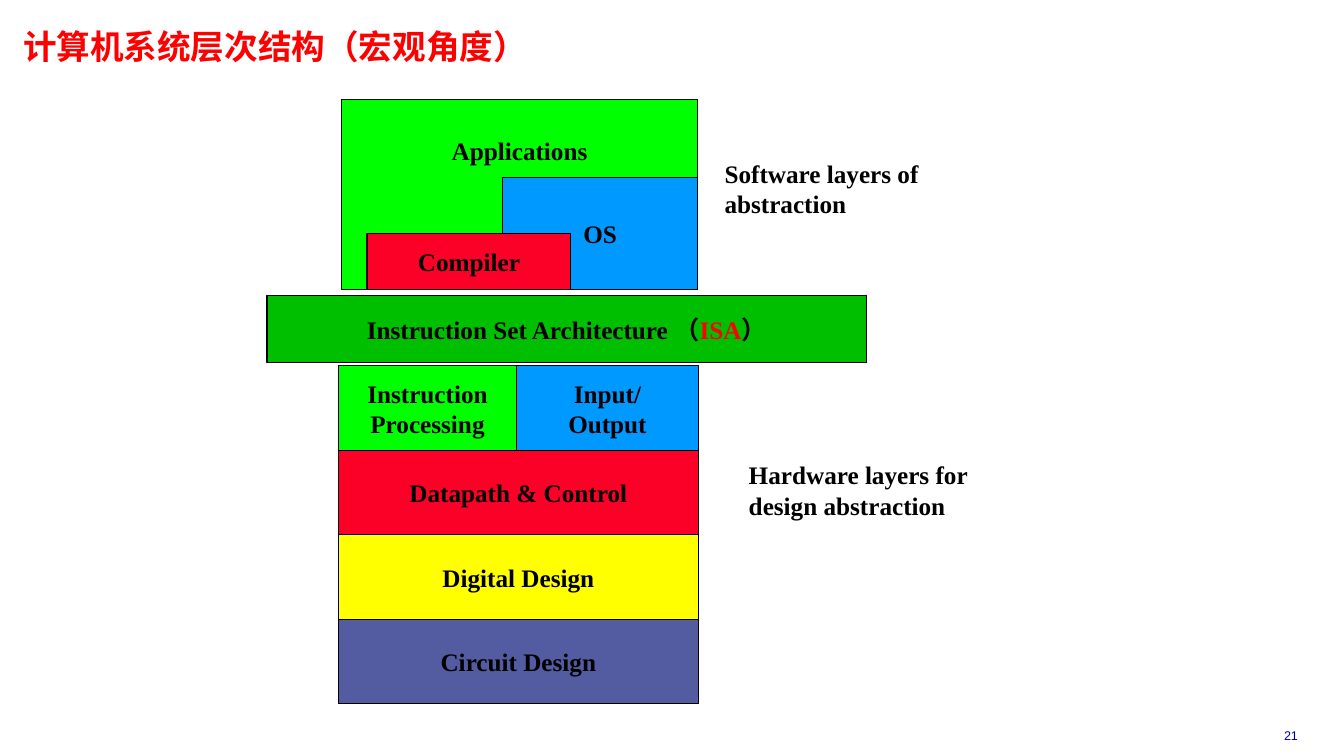
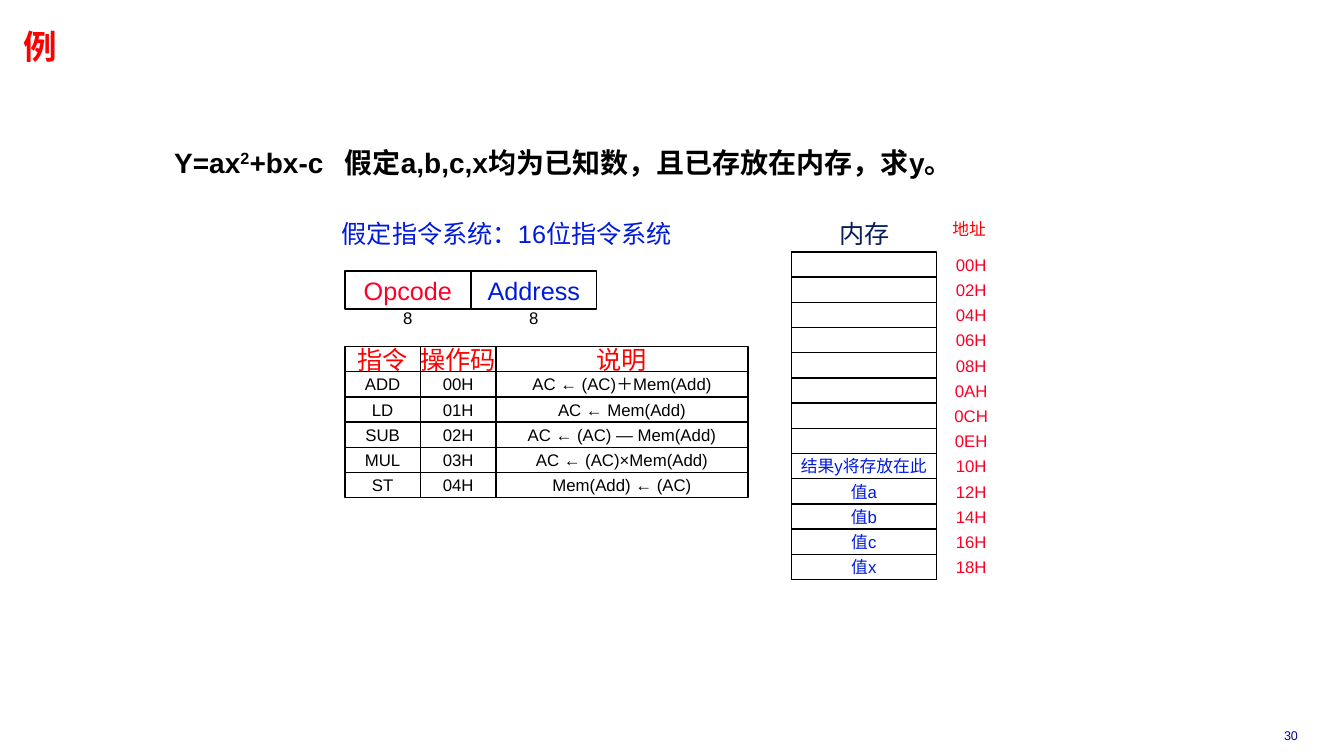
"""Build two slides on computer system layers and a sample instruction set."""
from lxml import etree
from pptx import Presentation
from pptx import util as u
from pptx.dml.color import RGBColor
from pptx.enum import shapes, text
from pptx.oxml.ns import qn

HUE = {
    "black": "000000", "red": "FF0000", "rose": "FC0128", "lime": "00FF00",
    "green": "00BE00", "sky": "0099FF", "sun": "FFFF00", "slate": "535CA1",
    "blue": "001ADC", "navy": "081D58", "foot": "000099",
}
HEAD = {"name": "Arial", "size": u.Pt(24), "bold": True}
LAYER = {"name": "Times New Roman", "size": u.Pt(18), "bold": True}
LEAD = {"name": "Arial", "size": u.Pt(20), "bold": True}
LARGE = {"name": "Arial", "size": u.Pt(18), "bold": False}
SMALL = {"name": "Arial", "size": u.Pt(12), "bold": False}
TINY = {"name": "Arial", "size": u.Pt(9), "bold": False}
MID = text.MSO_ANCHOR.MIDDLE
TOP = text.MSO_ANCHOR.TOP
CENTER = text.PP_ALIGN.CENTER
LEFT = text.PP_ALIGN.LEFT


def write(para, words, look, hue):
    run = para.add_run()
    run.text = words
    for key, val in look.items():
        setattr(run.font, key, val)
    run.font.color.rgb = RGBColor.from_string(HUE[hue])
    return run


def put(page, at, words, look, hue="black", fill=None, edge=0, wrap=False,
        align=CENTER, anchor=MID):
    place = [u.Cm(n) for n in at]
    if edge:
        item = page.shapes.add_shape(shapes.MSO_SHAPE.RECTANGLE, *place)
        item.shadow.inherit = False
        item.line.color.rgb = RGBColor.from_string(HUE["black"])
        item.line.width = u.Pt(edge)
        if fill:
            item.fill.solid()
            item.fill.fore_color.rgb = RGBColor.from_string(HUE[fill])
        else:
            item.fill.background()
    else:
        item = page.shapes.add_textbox(*place)
    frame = item.text_frame
    frame.word_wrap = wrap
    frame.vertical_anchor = anchor
    for i, row in enumerate(words.split("\n")):
        para = frame.add_paragraph() if i else frame.paragraphs[0]
        para.alignment = align
        if row:
            write(para, row, look, hue)
    return item


deck = Presentation()
deck.slide_width, deck.slide_height = u.Cm(33.87), u.Cm(19.05)
plan = deck.slide_layouts[5]
spot = {"left": u.Cm(0), "top": u.Cm(0.71), "width": u.Cm(29.21), "height": u.Cm(1.04)}
for key, val in spot.items():
    setattr(plan.placeholders[0], key, val)

pages = []
for name, num in [("计算机系统层次结构（宏观角度）", "21"), ("例", "30")]:
    page = deck.slides.add_slide(plan)
    frame = page.shapes.title.text_frame
    form = {"margin_left": u.Cm(0.58), "margin_top": u.Cm(0.08),
            "margin_right": u.Cm(0.18), "margin_bottom": u.Cm(0.08),
            "vertical_anchor": TOP, "auto_size": text.MSO_AUTO_SIZE.NONE}
    for key, val in form.items():
        setattr(frame, key, val)
    para = frame.paragraphs[0]
    para.alignment = LEFT
    para.line_spacing = 0.87
    write(para, name, HEAD, "red")
    put(page, (31.34, 18.21, 2.39, 0.64), num, TINY, "foot", anchor=TOP)
    pages.append(page)
stack, demo = pages

apps = put(stack, (8.61, 2.51, 8.97, 4.79), "Applications", LAYER,
           fill="lime", edge=0.75, anchor=TOP)
apps.text_frame.margin_top = u.Cm(0.9)
base, wide, tall, floor = 8.53, 9.07, 2.13, 9.22
half = 4.49
layers = [
    ((12.67, 4.47, 4.91, 2.83), "OS", "sky"),
    ((9.25, 5.88, 5.14, 1.42), "Compiler", "rose"),
    ((base, floor, half, tall), "Instruction\nProcessing", "lime"),
    ((base + half, floor, wide - half, tall), "Input/\nOutput", "sky"),
]
decks = [("Datapath & Control", "rose"), ("Digital Design", "sun"), ("Circuit Design", "slate")]
for i, (name, fill) in enumerate(decks, 1):
    layers.append(((base, floor + i * tall, wide, tall), name, fill))
for at, name, fill in layers:
    put(stack, at, name, LAYER, fill=fill, edge=0.75)

bridge = put(stack, (6.73, 7.44, 15.11, 1.7), "", LAYER, fill="green", edge=0.75)
for words, hue in [("Instruction Set Architecture （", "black"), ("ISA", "red"), ("）", "black")]:
    write(bridge.text_frame.paragraphs[0], words, LAYER, hue)

sides = [((18.01, 3.86, 8.92, 1.8), "Software layers of\nabstraction"),
         ((18.62, 11.46, 6.65, 1.8), "Hardware layers for design abstraction")]
for at, words in sides:
    put(stack, at, words, LAYER, wrap=True, align=LEFT, anchor=TOP)

task = put(demo, (4.14, 3.53, 22.15, 1.12), "", LEAD, wrap=True, align=LEFT, anchor=TOP)
para = task.text_frame.paragraphs[0]
tabs = etree.SubElement(para._p.get_or_add_pPr(), qn("a:tabLst"))
etree.SubElement(tabs, qn("a:tab"), pos=str(u.Cm(4.3)), algn="l")
for words in ["Y=ax", "2", "+bx-c\t假定a,b,c,x均为已知数，且已存放在内存，求y。"]:
    run = write(para, words, LEAD, "black")
    if words == "2":
        run._r.get_or_add_rPr().set("baseline", "30000")

notes = [((8.36, 5.38, 10.16, 1.02), "假定指令系统：16位指令系统", LARGE, "blue"),
         ((20.9, 5.38, 1.96, 1.02), "内存", LARGE, "navy"),
         ((23.75, 5.38, 1.96, 0.76), "地址", SMALL, "red")]
for at, words, look, hue in notes:
    put(demo, at, words, look, hue, wrap=True, align=LEFT, anchor=TOP)

step = 2.54 / 4
left = 8.69
for i, (name, hue) in enumerate([("Opcode", "rose"), ("Address", "blue")]):
    x = left + 5 * i * step
    put(demo, (x, 6.83, 5 * step, 1.5 * step), name, LARGE, hue, edge=1)
    put(demo, (x, 7.78, 5 * step, 0.48), "8", SMALL)

codes = [
    ("指令", "操作码", "说明"),
    ("ADD", "00H", "AC ← (AC)＋Mem(Add)"),
    ("LD", "01H", "AC ← Mem(Add)"),
    ("SUB", "02H", "AC ← (AC) — Mem(Add)"),
    ("MUL", "03H", "AC ← (AC)×Mem(Add)"),
    ("ST", "04H", "Mem(Add) ← (AC)"),
]
for i, row in enumerate(codes):
    look, hue = (SMALL, "black") if i else (LARGE, "red")
    for start, span, words in zip((0, 3, 6), (3, 3, 10), row):
        at = (left + start * step, 8.73 + i * step, span * step, step)
        put(demo, at, words, look, hue, edge=1)

cells = [""] * 8 + ["结果y将存放在此", "值a", "值b", "值c", "值x"]
for i, words in enumerate(cells):
    y = 6.35 + i * step
    put(demo, (19.94, y, 3.66, step), words, SMALL, "blue", edge=1)
    put(demo, (23.6, y, 1.75, step), f"{2 * i:02X}H", SMALL, "rose")

deck.save("out.pptx")
